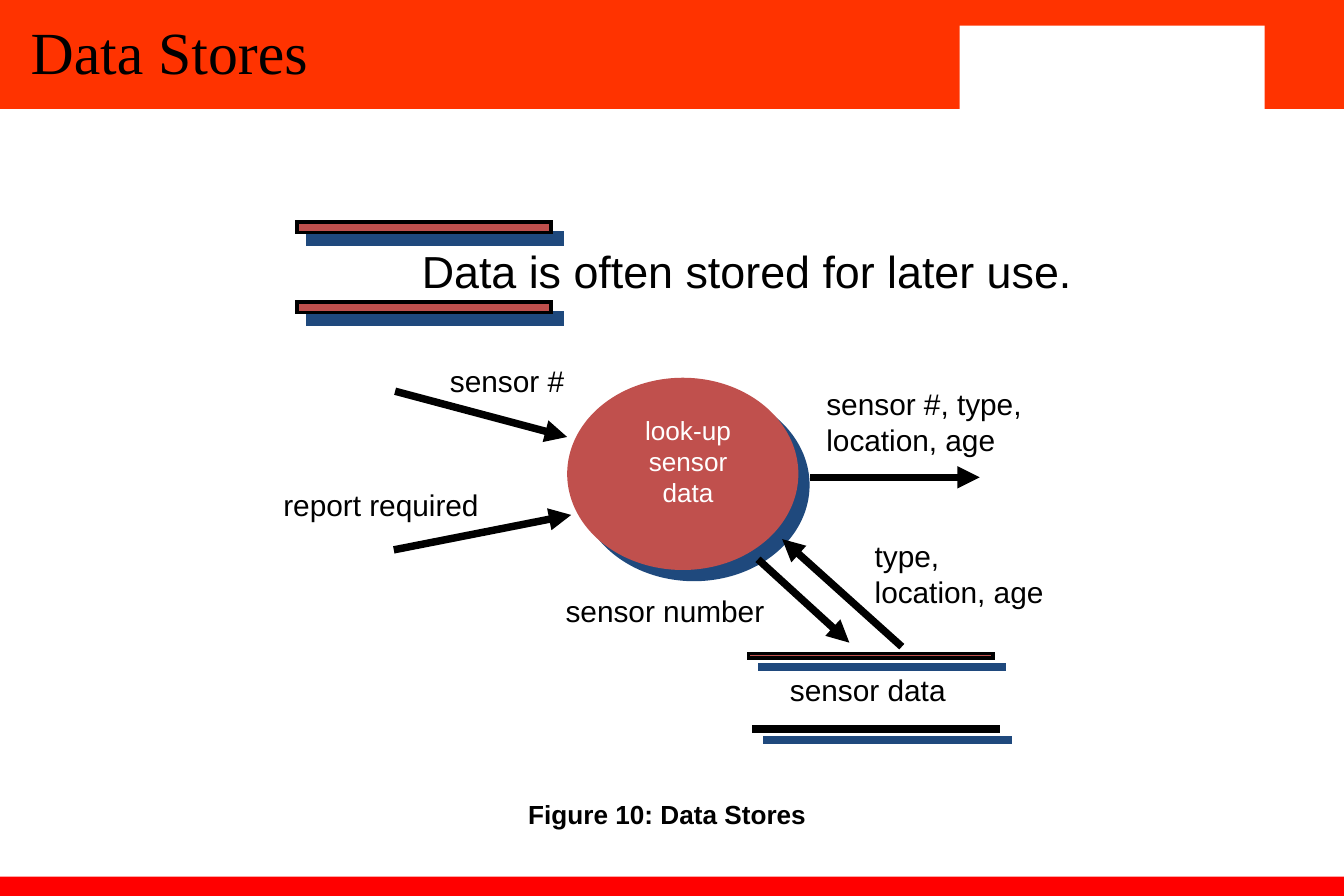
from dataclasses import dataclass

from lxml import etree
from pptx import Presentation
from pptx import util as u
from pptx.dml.color import RGBColor
from pptx.enum import shapes, text
from pptx.oxml import ns


@dataclass(frozen=True)
class Theme:
    """Colours, fonts, type sizes and line widths."""
    band: str = "FF3300"
    foot: str = "FF0000"
    paper: str = "FFFFFF"
    ink: str = "000000"
    fill: str = "C0504D"
    shade: str = "1F497D"
    sans: str = "Arial"
    serif: str = "Times New Roman"
    title: int = 32
    lead: int = 24
    label: int = 16
    small: int = 14
    rim: float = 2
    arrow: float = 4


T = Theme()
CELL = u.Inches(0.1)  # the slide is 100 columns by 66.64 rows
WIDE, HIGH = 100, 66.64
BAND = 8.1
LEFT, MID = text.PP_ALIGN.LEFT, text.PP_ALIGN.CENTER


def grid(*cells):
    """Turn columns and rows into lengths."""
    return [u.Emu(round(c * CELL)) for c in cells]


def color(code):
    """Return the colour of a hex code."""
    return RGBColor.from_string(code)


def effect(props, dist=0):
    """Add an effect list to props, with a diagonal shadow if dist is set."""
    last = etree.SubElement(props, ns.qn("a:effectLst"))
    if dist:
        cast = etree.SubElement(last, ns.qn("a:outerShdw"), dist=str(u.Pt(dist)),
                                dir=str(45 * 60000), algn="ctr", rotWithShape="0")
        etree.SubElement(cast, ns.qn("a:srgbClr"), val=T.shade)


def stroke(line, width, tag, **attrs):
    """Set a line's ink and width, and add one more line property."""
    line.color.rgb = color(T.ink)
    line.width = u.Pt(width)
    etree.SubElement(line._get_or_add_ln(), ns.qn(tag), **attrs)


def block(slide, kind, box, fill, rim=False, cast=0):
    """Draw a filled shape, with an optional rim and shadow."""
    item = slide.shapes.add_shape(kind, *grid(*box))
    item.fill.solid()
    item.fill.fore_color.rgb = color(fill)
    if rim:
        stroke(item.line, T.rim, "a:miter", lim="800000")
    else:
        item.line.fill.background()
    effect(item._element.spPr, cast)


def words(slide, box, lines, size, font=T.sans, ink=T.ink, align=LEFT,
          bold=False, wrap=False, fit=True, gap=1.0):
    """Write one paragraph for each line."""
    frame = slide.shapes.add_textbox(*grid(*box)).text_frame
    frame.word_wrap = wrap
    if fit:
        frame.auto_size = text.MSO_AUTO_SIZE.SHAPE_TO_FIT_TEXT
    else:
        frame.vertical_anchor = text.MSO_ANCHOR.MIDDLE
    frame.text = "\n".join(lines)
    for para in frame.paragraphs:
        para.alignment = align
        para.line_spacing = gap
        para.font.name = font
        para.font.size = u.Pt(size)
        para.font.bold = bold
        para.font.color.rgb = color(ink)


def arrow(slide, start, end, tip="a:tailEnd"):
    """Draw a line from start to end, with an arrowhead at its tip."""
    item = slide.shapes.add_connector(
        shapes.MSO_CONNECTOR.STRAIGHT, *grid(*start, *end))
    stroke(item.line, T.arrow, tip, type="triangle")
    effect(item._element.spPr)


def frame(slide):
    """Draw the header, its white panel, the footer and the title."""
    for box, fill in [
        ((0, 0, WIDE, BAND), T.band),
        ((0, 65.2, WIDE, HIGH - 65.2), T.foot),
        ((67.2, 0, WIDE - 67.2, BAND), T.band),
        ((71.4, 1.9, 22.7, 6.6), T.paper),
    ]:
        block(slide, shapes.MSO_SHAPE.RECTANGLE, box, fill)
    words(slide, (1.3, -1.5, 78.3, 11.2), ["Data Stores"], T.title,
          font=T.serif, wrap=True, fit=False, gap=0.9)


def store(slide, tops, wide, high):
    """Draw the two bars of a data store, given their left top corners."""
    for left, top in tops:
        block(slide, shapes.MSO_SHAPE.RECTANGLE, (left, top, wide, high),
              T.fill, rim=True, cast=8.5)


def main():
    """Build the slide and save it."""
    deck = Presentation()
    deck.slide_width, deck.slide_height = grid(WIDE, HIGH)
    slide = deck.slides.add_slide(deck.slide_layouts[6])
    frame(slide)

    store(slide, [(22.1, 16.5), (22.1, 22.45)], 18.9, 0.8)
    words(slide, (30.4, 17.6, 50.6, 5), ["Data is often stored for later use."], T.lead)

    block(slide, shapes.MSO_SHAPE.OVAL, (42.2, 28.1, 17.2, 14.3), T.fill, cast=8.5)
    words(slide, (47, 30.3, 8.4, 10.3), ["look-up", "sensor", "data"], T.small,
          ink=T.paper, align=MID)

    store(slide, [(55.7, 48.6), (56.1, 54.05)], 18.2, 0.35)

    for start, end in [
        ((29.4, 29.1), (42.2, 32.5)),
        ((29.3, 40.9), (42.5, 38.3)),
        ((60.3, 35.5), (72.9, 35.5)),
        ((56.4, 41.6), (63.2, 47.8)),
    ]:
        arrow(slide, start, end)
    arrow(slide, (58.2, 40.1), (67.1, 48.1), "a:headEnd")

    for left, top, wide, lines in [
        (32.5, 26.5, 10.6, ["sensor #"]),
        (20.1, 35.7, 16.8, ["report required"]),
        (60.5, 28.2, 17.1, ["sensor #, type, ", "location, age"]),
        (57.8, 49.5, 13.7, ["sensor data"]),
        (41.1, 43.6, 16.9, ["sensor number"]),
        (64.1, 39.5, 14.7, ["type, ", "location, age"]),
    ]:
        words(slide, (left, top, wide, 0.9 + 2.7 * len(lines)), lines, T.label)

    words(slide, (24.5, 58.9, 50.3, 5.7), ["Figure 10: Data Stores"], T.small,
          align=MID, bold=True, wrap=True)
    deck.save("out.pptx")


main()
